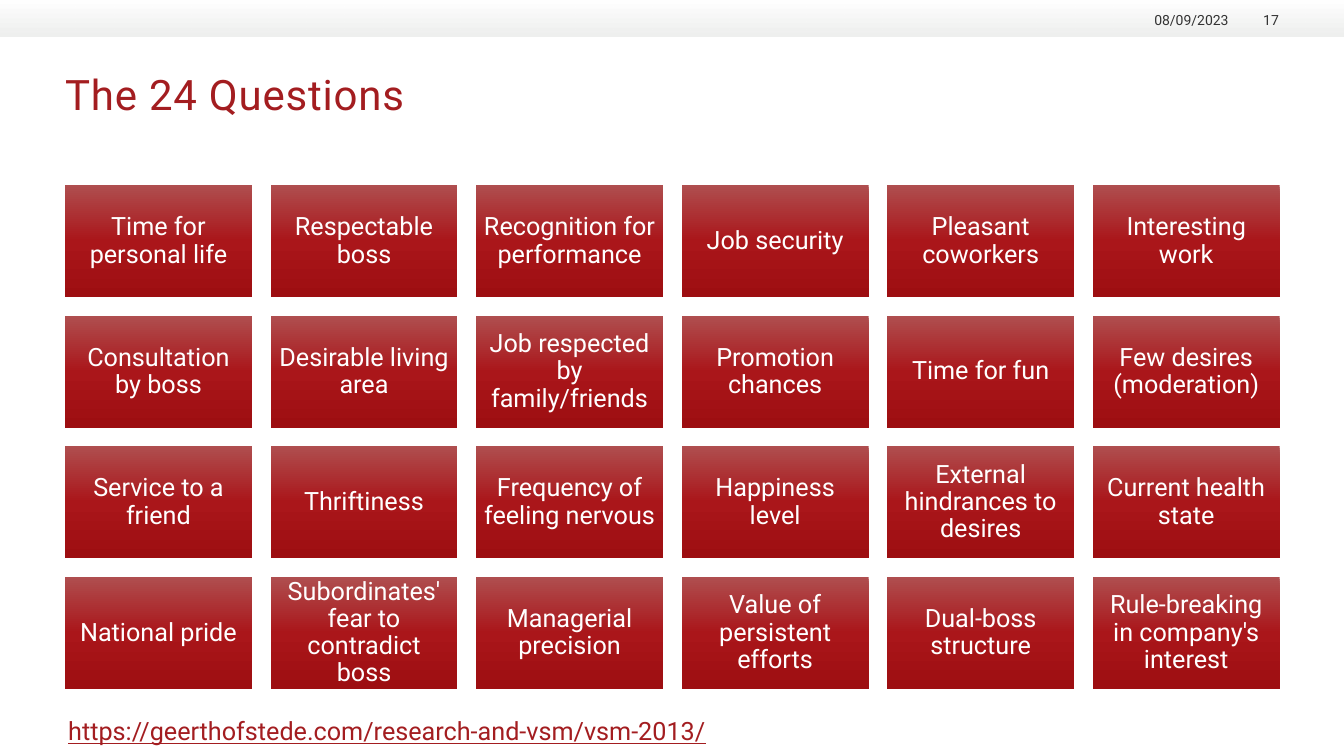
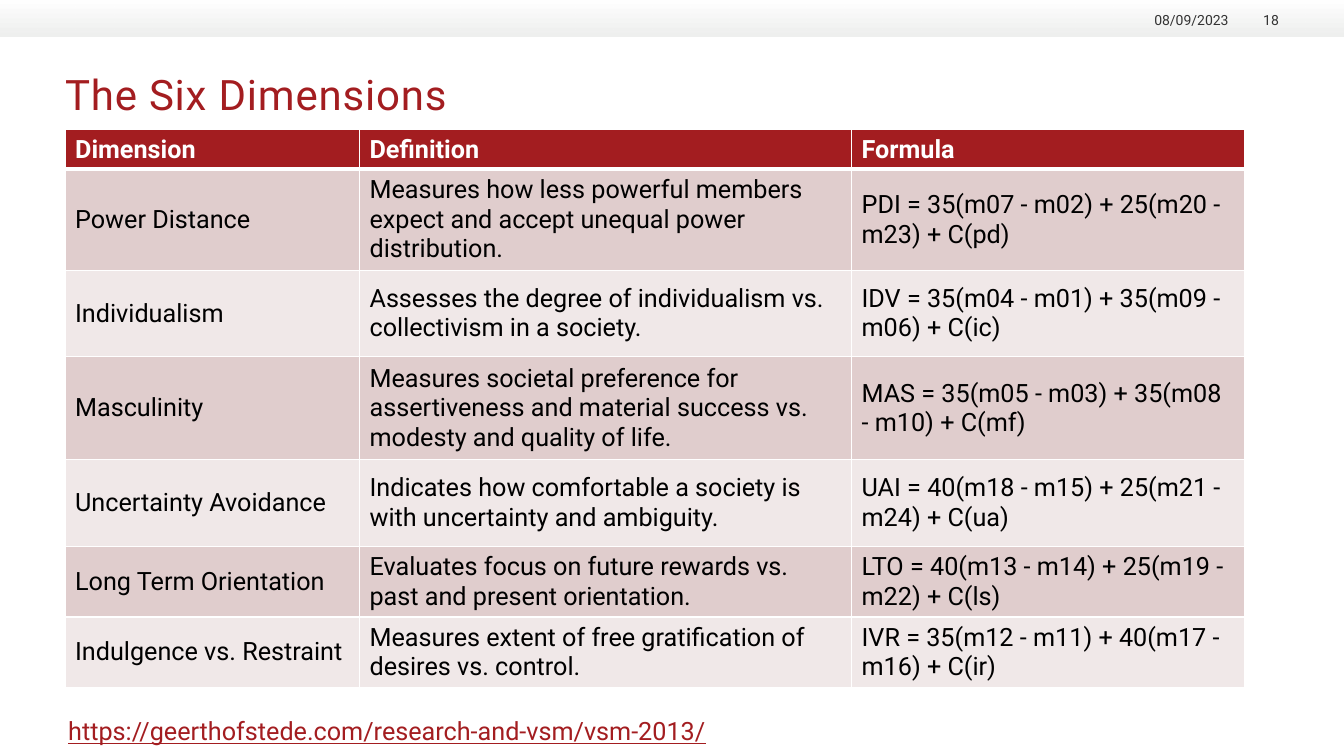
from lxml.etree import SubElement
from pptx import Presentation
from pptx.dml.color import RGBColor
from pptx.enum.shapes import MSO_SHAPE as Preset
from pptx.enum.text import MSO_ANCHOR as Anchor, PP_ALIGN as Align
from pptx.oxml import parse_xml
from pptx.oxml.ns import nsdecls, qn
from pptx.util import Cm, Pt

# Shared style
FONT = "Roboto"
RED, WHITE, BLACK, GREY = "A31D20", "FFFFFF", "000000", "333333"
ROW_FILLS = ["E0CDCD", "F0E8E8"]
BAND_STOPS = [(0, "FFFFFF", 100), (100, "EEEFEE", 93)]
TILE_STOPS = [(0, "AF4E4F", 100), (50, "AA161A", 100), (100, "9D0E11", 100)]
SLIDE_WIDTH, SLIDE_HEIGHT, MARGIN = 33.87, 19.05, 1.64

# Content
DATE = "08/09/2023"
SOURCE = "https://geerthofstede.com/research-and-vsm/vsm-2013/"
QUESTIONS = [
    ["Time for personal life", "Respectable boss", "Recognition for performance",
     "Job security", "Pleasant coworkers", "Interesting work"],
    ["Consultation by boss", "Desirable living area", "Job respected by family/friends",
     "Promotion chances", "Time for fun", "Few desires (moderation)"],
    ["Service to a friend", "Thriftiness", "Frequency of feeling nervous",
     "Happiness level", "External hindrances to desires", "Current health state"],
    ["National pride", "Subordinates' fear to contradict boss", "Managerial precision",
     "Value of persistent efforts", "Dual-boss structure",
     "Rule-breaking in company's interest"],
]
DIMENSIONS = [
    ("Dimension", "Definition", "Formula"),
    ("Power Distance",
     "Measures how less powerful members expect and accept unequal power distribution.",
     "PDI = 35(m07 - m02) + 25(m20 - m23) + C(pd)"),
    ("Individualism",
     "Assesses the degree of individualism vs. collectivism in a society.",
     "IDV = 35(m04 - m01) + 35(m09 - m06) + C(ic)"),
    ("Masculinity",
     "Measures societal preference for assertiveness and material success vs. "
     "modesty and quality of life.",
     "MAS = 35(m05 - m03) + 35(m08 - m10) + C(mf)"),
    ("Uncertainty Avoidance",
     "Indicates how comfortable a society is with uncertainty and ambiguity.",
     "UAI = 40(m18 - m15) + 25(m21 - m24) + C(ua)"),
    ("Long Term Orientation",
     "Evaluates focus on future rewards vs. past and present orientation.",
     "LTO = 40(m13 - m14) + 25(m19 - m22) + C(ls)"),
    ("Indulgence vs. Restraint",
     "Measures extent of free gratification of desires vs. control.",
     "IVR = 35(m12 - m11) + 40(m17 - m16) + C(ir)"),
]
COLUMN_WIDTHS = [7.42, 12.4, 9.91]
ROW_HEIGHTS = [1, 2.5, 2.18, 2.6, 2.18, 1.78, 1.75]


def color(value):
    return RGBColor.from_string(value)


def write(text_frame, text, size=18, ink=BLACK, align=Align.LEFT):
    """Fill a text frame with one styled paragraph and return its run."""
    text_frame.text = text
    text_frame.word_wrap = True
    paragraph = text_frame.paragraphs[0]
    paragraph.alignment = align
    run = paragraph.runs[0]
    run.font.name, run.font.size = FONT, Pt(size)
    run.font.color.rgb = color(ink)
    return run


def set_insets(text_frame, inset):
    text_frame.margin_left = text_frame.margin_right = Cm(inset)
    text_frame.margin_top = text_frame.margin_bottom = Cm(inset)


def add_text(slide, box, text, inset=0, anchor=Anchor.TOP, **style):
    text_frame = slide.shapes.add_textbox(*map(Cm, box)).text_frame
    text_frame.vertical_anchor = anchor
    if inset is not None:
        set_insets(text_frame, inset)
    return write(text_frame, text, **style)


def add_gradient_box(slide, box, stops):
    shape = slide.shapes.add_shape(Preset.RECTANGLE, *map(Cm, box))
    shape.shadow.inherit = False
    shape.line.fill.background()
    shape.fill.gradient()
    shape.fill.gradient_angle = 270
    stop_list = shape.element.spPr.find(qn("a:gradFill")).find(qn("a:gsLst"))
    for old_stop in list(stop_list):
        stop_list.remove(old_stop)
    for position, value, opacity in stops:
        stop = SubElement(stop_list, qn("a:gs"), pos=str(position * 1000))
        stop_color = SubElement(stop, qn("a:srgbClr"), val=value)
        if opacity < 100:
            SubElement(stop_color, qn("a:alpha"), val=str(opacity * 1000))
    return shape


def add_borders(cell, top, bottom):
    properties = cell._tc.get_or_add_tcPr()
    sides = [("lnL", 1), ("lnR", 1), ("lnT", top), ("lnB", bottom)]
    for index, (side, width) in enumerate(sides):
        properties.insert(index, parse_xml(
            f'<a:{side} {nsdecls("a")} w="{Pt(width)}"><a:solidFill>'
            f'<a:srgbClr val="{WHITE}"/></a:solidFill></a:{side}>'))


def add_slide(presentation, title, number):
    """Start a slide with its band, title, date, number and source line."""
    slide = presentation.slides.add_slide(presentation.slide_layouts[6])
    add_gradient_box(slide, (0, 0, SLIDE_WIDTH, 0.92), BAND_STOPS)
    heading = add_text(slide, (MARGIN, 1.73, 30.58, 2.39), title, size=30, ink=RED)
    heading.font._element.set("spc", "60")
    for left, width, text in [(28.7, 2.26, DATE), (31.16, 1.07, number)]:
        add_text(slide, (left, 0.23, width, 0.48), text, anchor=Anchor.BOTTOM,
                 size=10, ink=GREY, align=Align.RIGHT)
    source = add_text(slide, (1.47, 17.91, 16.94, 1.02), SOURCE, inset=None, ink=RED)
    source.font.underline = True
    return slide


def add_question_grid(slide):
    width, height, gap, top = 4.71, 2.82, 0.47, 4.67
    for row, questions in enumerate(QUESTIONS):
        for column, question in enumerate(questions):
            box = (MARGIN + column * (width + gap), top + row * (height + gap),
                   width, height)
            text_frame = add_gradient_box(slide, box, TILE_STOPS).text_frame
            set_insets(text_frame, 0.18)
            text_frame.vertical_anchor = Anchor.MIDDLE
            write(text_frame, question, ink=WHITE, align=Align.CENTER)
            text_frame.paragraphs[0].line_spacing = 0.9


def add_dimension_table(slide):
    box = (MARGIN, 3.25, sum(COLUMN_WIDTHS), sum(ROW_HEIGHTS))
    table = slide.shapes.add_table(
        len(DIMENSIONS), len(COLUMN_WIDTHS), *map(Cm, box)).table
    for column, width in zip(table.columns, COLUMN_WIDTHS):
        column.width = Cm(width)
    for row, height in zip(table.rows, ROW_HEIGHTS):
        row.height = Cm(height)
    for row, texts in enumerate(DIMENSIONS):
        header = row == 0
        for column, text in enumerate(texts):
            cell = table.cell(row, column)
            run = write(cell.text_frame, text, ink=WHITE if header else BLACK)
            run.font.bold = header
            cell.vertical_anchor = Anchor.BOTTOM if header else Anchor.MIDDLE
            cell.fill.solid()
            cell.fill.fore_color.rgb = color(RED if header else ROW_FILLS[(row - 1) % 2])
            add_borders(cell, top=3 if row == 1 else 1, bottom=3 if header else 1)


def main():
    presentation = Presentation()
    presentation.slide_width = Cm(SLIDE_WIDTH)
    presentation.slide_height = Cm(SLIDE_HEIGHT)
    add_question_grid(add_slide(presentation, "The 24 Questions", "17"))
    add_dimension_table(add_slide(presentation, "The Six Dimensions", "18"))
    presentation.save("out.pptx")


if __name__ == "__main__":
    main()
